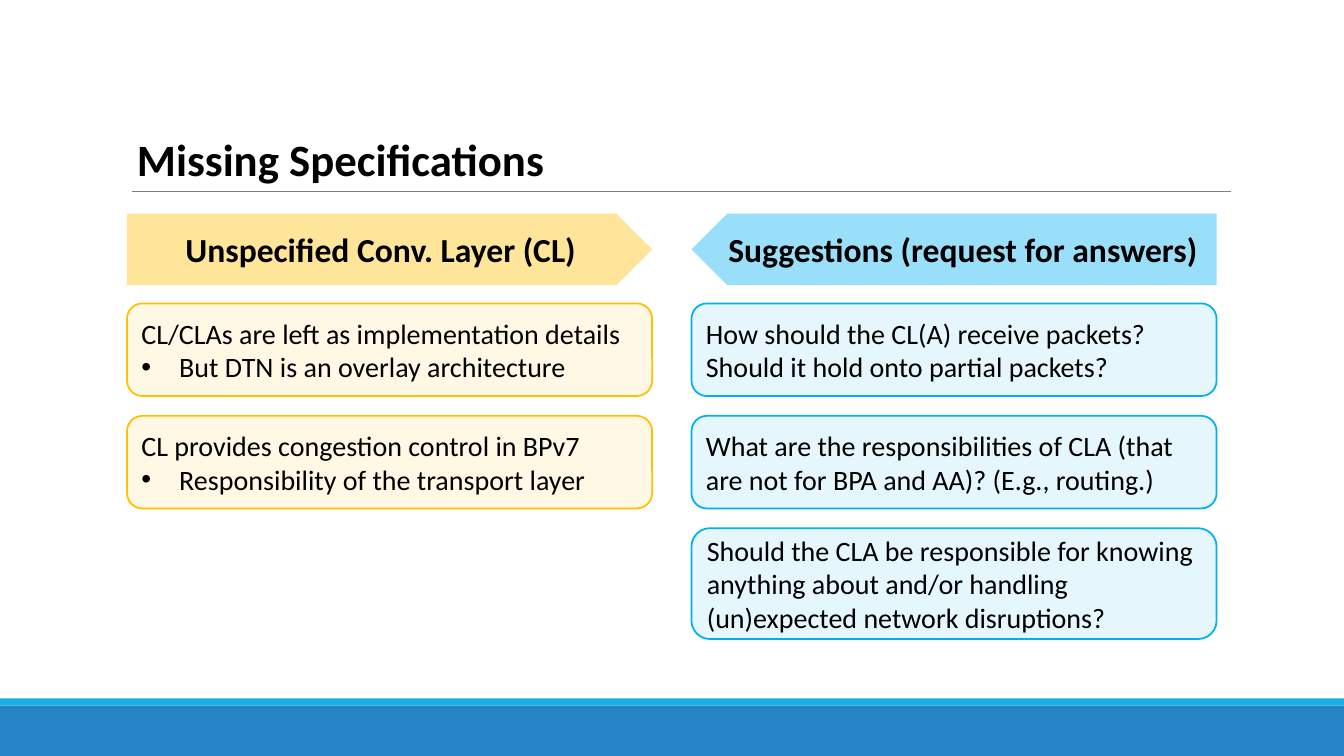
from dataclasses import dataclass

from lxml.etree import SubElement
from pptx import Presentation
from pptx.dml.color import RGBColor
from pptx.enum.shapes import MSO_CONNECTOR, MSO_SHAPE
from pptx.enum.text import MSO_ANCHOR, PP_ALIGN
from pptx.oxml.ns import qn
from pptx.shapes.autoshape import Shape
from pptx.slide import Slide
from pptx.text.text import _Paragraph as Paragraph
from pptx.util import Pt


@dataclass(frozen=True)
class Theme:
    font: str = "Calibri"
    text: str = "000000"
    rule: str = "808080"
    footer: str = "2683C6"
    footer_edge: str = "1CADE4"
    issue: str = "FFC000"
    suggestion: str = "00B0F0"
    title_size: int = 32
    header_size: int = 24
    body_size: int = 20
    header_opacity: int = 40
    card_opacity: int = 10


@dataclass(frozen=True)
class Box:
    left: float
    top: float
    width: float
    height: float

    def lengths(self) -> tuple[Pt, Pt, Pt, Pt]:
        return Pt(self.left), Pt(self.top), Pt(self.width), Pt(self.height)


@dataclass(frozen=True)
class Card:
    text: str
    bullet: str = ""
    height: float = 66.2


@dataclass(frozen=True)
class Column:
    left: float
    heading: str
    color: str
    points_left: bool
    cards: tuple[Card, ...]


THEME = Theme()
COLUMN_WIDTH = 375.1
HEADER_TOP, HEADER_HEIGHT = 152.6, 51.1
CARD_TOP, CARD_STEP = 216.7, 80.3
BULLET_INDENT = 27

COLUMNS = (
    Column(90.7, "Unspecified Conv. Layer (CL)", THEME.issue, False, (
        Card("CL/CLAs are left as implementation details",
             "But DTN is an overlay architecture"),
        Card("CL provides congestion control in BPv7",
             "Responsibility of the transport layer"),
    )),
    Column(493.9, "Suggestions (request for answers)", THEME.suggestion, True, (
        Card("How should the CL(A) receive packets? Should it hold onto partial packets?"),
        Card("What are the responsibilities of CLA (that are not for BPA and AA)? "
             "(E.g., routing.)"),
        Card("Should the CLA be responsible for knowing anything about and/or handling "
             "(un)expected network disruptions?", height=79.2),
    )),
)


def format_runs(paragraph: Paragraph, size: int, bold: bool = False) -> None:
    for run in paragraph.runs:
        run.font.name = THEME.font
        run.font.size = Pt(size)
        run.font.bold = bold
        run.font.color.rgb = RGBColor.from_string(THEME.text)


def add_bullet(paragraph: Paragraph) -> None:
    properties = paragraph._p.get_or_add_pPr()
    properties.set("marL", str(Pt(BULLET_INDENT)))
    properties.set("indent", str(-Pt(BULLET_INDENT)))
    SubElement(properties, qn("a:buFont"), typeface="Arial")
    SubElement(properties, qn("a:buChar"), char="•")


def add_filled_shape(slide: Slide, kind: MSO_SHAPE, box: Box, color: str,
                     opacity: int = 100) -> Shape:
    shape = slide.shapes.add_shape(kind, *box.lengths())
    shape.shadow.inherit = False
    shape.fill.solid()
    shape.fill.fore_color.rgb = RGBColor.from_string(color)
    if opacity < 100:
        fill_color = shape._element.spPr.find(qn("a:solidFill"))[0]
        SubElement(fill_color, qn("a:alpha"), val=str(opacity * 1000))
    shape.line.fill.background()
    shape.text_frame.word_wrap = True
    shape.text_frame.vertical_anchor = MSO_ANCHOR.MIDDLE
    return shape


def add_footer(slide: Slide) -> None:
    add_filled_shape(slide, MSO_SHAPE.RECTANGLE, Box(0, 504, 960, 36), THEME.footer)
    add_filled_shape(slide, MSO_SHAPE.RECTANGLE, Box(0, 498.8, 960, 5.2), THEME.footer_edge)


def add_title(slide: Slide) -> None:
    rule = slide.shapes.add_connector(
        MSO_CONNECTOR.STRAIGHT, Pt(94.3), Pt(136.6), Pt(879), Pt(136.6))
    rule.line.color.rgb = RGBColor.from_string(THEME.rule)
    rule.line.width = Pt(0.5)
    SubElement(rule._element.spPr, qn("a:effectLst"))

    title = slide.shapes.add_textbox(*Box(90.7, 95, 604, 51.1).lengths())
    title.text_frame.word_wrap = True
    title.text_frame.text = "Missing Specifications"
    paragraph = title.text_frame.paragraphs[0]
    paragraph.line_spacing = 0.9
    paragraph.space_after = Pt(6)
    format_runs(paragraph, THEME.title_size, bold=True)


def add_header(slide: Slide, column: Column) -> None:
    box = Box(column.left, HEADER_TOP, COLUMN_WIDTH, HEADER_HEIGHT)
    shape = add_filled_shape(slide, MSO_SHAPE.PENTAGON, box, column.color,
                             THEME.header_opacity)
    if column.points_left:
        shape._element.spPr.xfrm.set("flipH", "1")
    shape.text_frame.text = column.heading
    paragraph = shape.text_frame.paragraphs[0]
    paragraph.alignment = PP_ALIGN.CENTER
    format_runs(paragraph, THEME.header_size, bold=True)


def add_card(slide: Slide, card: Card, box: Box, color: str) -> None:
    shape = add_filled_shape(slide, MSO_SHAPE.ROUNDED_RECTANGLE, box, color,
                             THEME.card_opacity)
    shape.line.color.rgb = RGBColor.from_string(color)
    shape.line.width = Pt(1.25)
    shape.text_frame.text = card.text
    if card.bullet:
        bullet = shape.text_frame.add_paragraph()
        bullet.text = card.bullet
        add_bullet(bullet)
    for paragraph in shape.text_frame.paragraphs:
        paragraph.alignment = PP_ALIGN.LEFT
        format_runs(paragraph, THEME.body_size)


def main() -> None:
    presentation = Presentation()
    presentation.slide_width, presentation.slide_height = Pt(960), Pt(540)
    slide = presentation.slides.add_slide(presentation.slide_layouts[6])

    # Frame and title
    add_footer(slide)
    add_title(slide)

    # Arrow headers with their cards below
    for column in COLUMNS:
        add_header(slide, column)
        for row, card in enumerate(column.cards):
            box = Box(column.left, CARD_TOP + row * CARD_STEP, COLUMN_WIDTH, card.height)
            add_card(slide, card, box, column.color)

    presentation.save("out.pptx")


if __name__ == "__main__":
    main()
